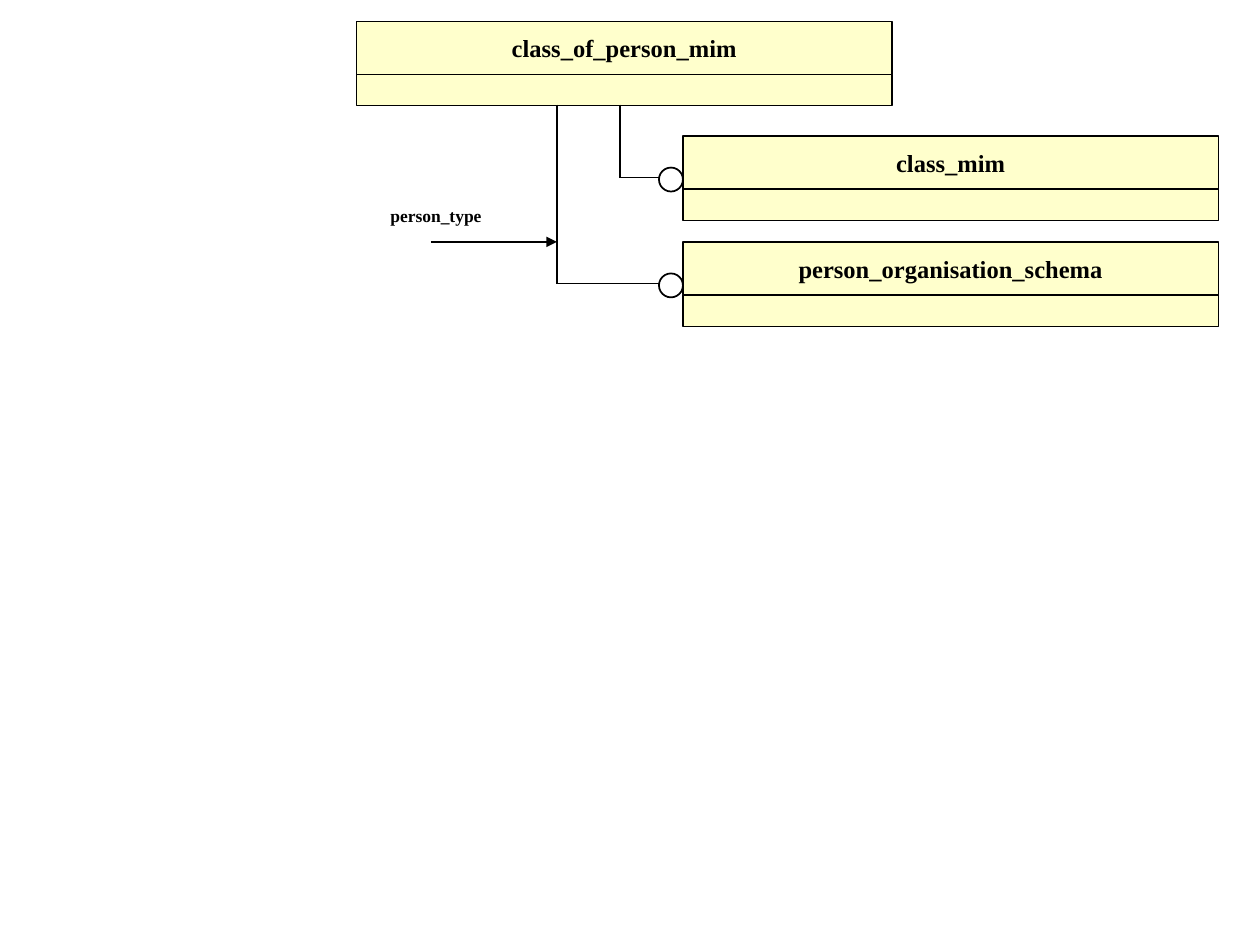
from lxml.etree import SubElement
from pptx import Presentation
from pptx.dml.color import RGBColor
from pptx.enum.shapes import MSO_CONNECTOR, MSO_SHAPE
from pptx.enum.text import MSO_ANCHOR, MSO_AUTO_SIZE, PP_ALIGN
from pptx.oxml.ns import qn
from pptx.util import Inches, Pt

BLACK = RGBColor(0x00, 0x00, 0x00)
WHITE = RGBColor(0xFF, 0xFF, 0xFF)
CREAM = RGBColor(0xFF, 0xFF, 0xCC)
FONT = "Times New Roman"

BOX_WIDTH = 4.25
NAME_HEIGHT = 0.42
BODY_HEIGHT = 0.25
CIRCLE_SIZE = 0.19
USED_LEFT = 5.42
MAIN_LEFT, MAIN_TOP = 2.83, 0.17
MAIN_BOTTOM = 0.83
ARROW_Y = 1.92


def write_text(shape, text, size):
    frame = shape.text_frame
    frame.word_wrap = False
    frame.text = text
    font = frame.paragraphs[0].runs[0].font
    font.name = FONT
    font.size = Pt(size)
    font.bold = True
    font.color.rgb = BLACK
    return frame


def add_outlined(shapes, kind, left, top, width, height, fill, weight):
    shape = shapes.add_shape(kind, Inches(left), Inches(top), Inches(width), Inches(height))
    shape.shadow.inherit = False
    shape.fill.solid()
    shape.fill.fore_color.rgb = fill
    shape.line.color.rgb = BLACK
    shape.line.width = Pt(weight)
    return shape


def add_schema(page, name, left, top):
    group = page.shapes.add_group_shape()
    header = add_outlined(group.shapes, MSO_SHAPE.RECTANGLE, left, top,
                          BOX_WIDTH, NAME_HEIGHT, CREAM, 0.75)
    frame = write_text(header, name, 14)
    frame.vertical_anchor = MSO_ANCHOR.MIDDLE
    frame.paragraphs[0].alignment = PP_ALIGN.CENTER
    add_outlined(group.shapes, MSO_SHAPE.RECTANGLE, left, top + NAME_HEIGHT,
                 BOX_WIDTH, BODY_HEIGHT, CREAM, 0.75)


def add_line(page, start, end, weight, arrow=False):
    line = page.shapes.add_connector(MSO_CONNECTOR.STRAIGHT, *map(Inches, start + end))
    line.line.color.rgb = BLACK
    line.line.width = Pt(weight)
    if arrow:
        SubElement(line.line._get_or_add_ln(), qn("a:tailEnd"), type="triangle")
    SubElement(line._element.spPr, qn("a:effectLst"))


def add_reference(page, name, top, stem_x, stem_weight):
    add_schema(page, name, USED_LEFT, top)
    branch_y = top + 0.33
    add_line(page, (stem_x, MAIN_BOTTOM), (stem_x, branch_y), stem_weight)
    add_line(page, (stem_x, branch_y), (5.25, branch_y), 0.75)
    add_outlined(page.shapes, MSO_SHAPE.OVAL, USED_LEFT - CIRCLE_SIZE, top + 0.25,
                 CIRCLE_SIZE, CIRCLE_SIZE, WHITE, 1)


def add_label(page, text, left, top, width, height):
    box = page.shapes.add_textbox(Inches(left), Inches(top), Inches(width), Inches(height))
    frame = write_text(box, text, 10)
    frame.auto_size = MSO_AUTO_SIZE.SHAPE_TO_FIT_TEXT


def main():
    deck = Presentation()
    deck.slide_width = Inches(10)
    deck.slide_height = Inches(7.5)
    page = deck.slides.add_slide(deck.slide_layouts[6])

    add_schema(page, "class_of_person_mim", MAIN_LEFT, MAIN_TOP)
    add_reference(page, "person_organisation_schema", 1.92, 4.42, 1)
    add_reference(page, "class_mim", 1.08, 4.92, 0.75)
    add_line(page, (3.42, ARROW_Y), (4.42, ARROW_Y), 1, arrow=True)
    add_label(page, "person_type", 3, 1.58, 0.92, 0.27)

    deck.save("out.pptx")


if __name__ == "__main__":
    main()
